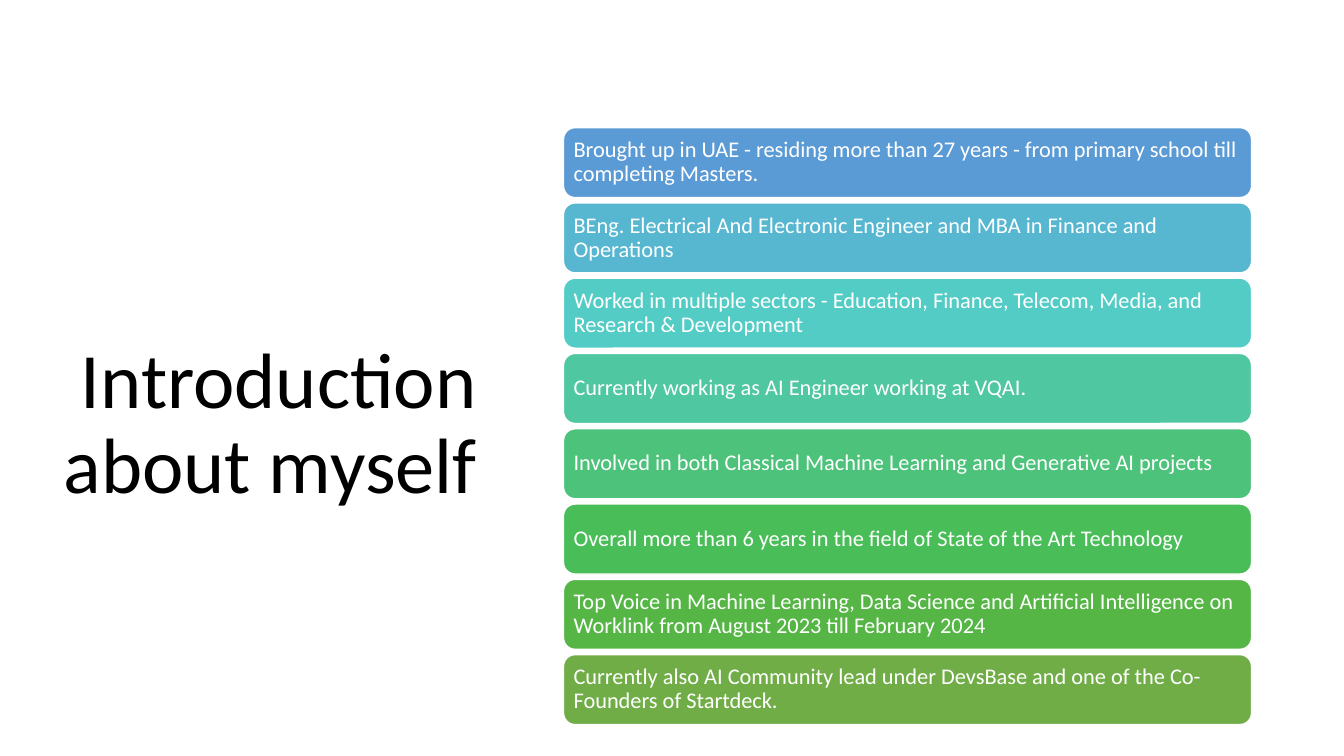
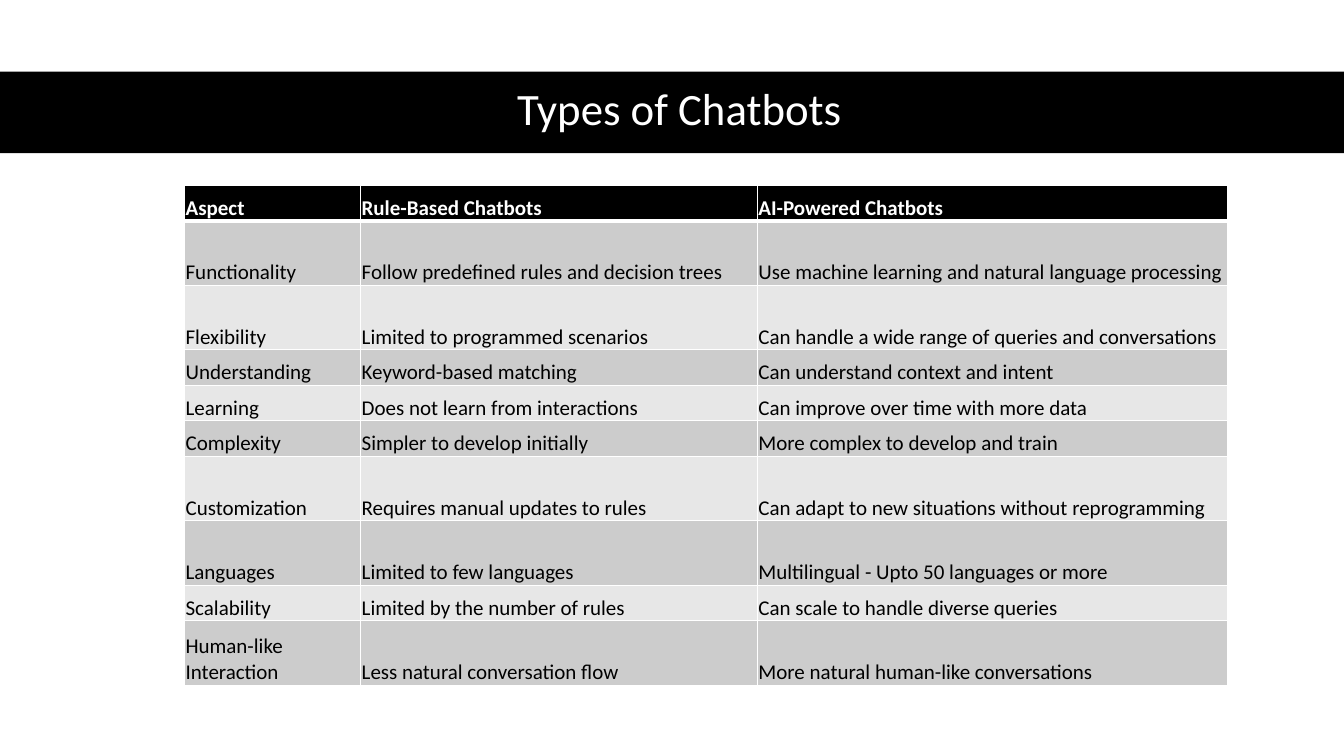
import pptx
import pptx.dml.color
import pptx.enum.shapes
import pptx.enum.text
import pptx.oxml
import pptx.oxml.ns
import pptx.util

Pt = pptx.util.Pt
RGBColor = pptx.dml.color.RGBColor
MSO_SHAPE = pptx.enum.shapes.MSO_SHAPE
ANCHOR = pptx.enum.text.MSO_ANCHOR
ALIGN = pptx.enum.text.PP_ALIGN

FONT = "Calibri"
BLACK = RGBColor(0x00, 0x00, 0x00)
WHITE = RGBColor(0xFF, 0xFF, 0xFF)
ROW_DARK = RGBColor(0xCC, 0xCC, 0xCC)
ROW_LIGHT = RGBColor(0xE7, 0xE7, 0xE7)
BLUE = RGBColor(0x5B, 0x9B, 0xD5)
SKY = RGBColor(0x57, 0xB7, 0xD1)
TURQUOISE = RGBColor(0x53, 0xCC, 0xC5)
SEA_GREEN = RGBColor(0x4F, 0xC7, 0xA0)
MINT = RGBColor(0x4C, 0xC2, 0x7B)
EMERALD = RGBColor(0x48, 0xBD, 0x58)
GRASS = RGBColor(0x55, 0xB6, 0x46)
OLIVE = RGBColor(0x70, 0xAD, 0x47)

SLIDE_WIDTH = 960


def write(frame, text, size, color, anchor, align=ALIGN.LEFT, bold=False, spacing=0.9):
    """Fill a shape's or cell's text frame with one formatted paragraph."""
    frame.text = text
    frame.word_wrap = True
    frame.vertical_anchor = anchor
    paragraph = frame.paragraphs[0]
    paragraph.alignment = align
    paragraph.line_spacing = spacing
    font = paragraph.runs[0].font
    font.name, font.size, font.bold = FONT, Pt(size), bold
    font.color.rgb = color


def add_titled_slide(title_text, box, size, color, align):
    slide = presentation.slides.add_slide(presentation.slide_layouts[5])
    title = slide.shapes.title
    title.left, title.top, title.width, title.height = [Pt(length) for length in box]
    write(title.text_frame, title_text, size, color, ANCHOR.MIDDLE, align)
    title.text_frame.auto_size = pptx.enum.text.MSO_AUTO_SIZE.NONE
    return slide


presentation = pptx.Presentation()
presentation.slide_width = Pt(SLIDE_WIDTH)
presentation.slide_height = Pt(540)

# Introduction: stacked bars beside the title
slide = add_titled_slide("Introduction about myself", (37.4, 84.2, 310.4, 440), 56, BLACK, ALIGN.RIGHT)

FACTS = [
    (BLUE, "Brought up in UAE - residing more than 27 years - from primary school till completing Masters."),
    (SKY, "BEng. Electrical And Electronic Engineer and MBA in Finance and Operations"),
    (TURQUOISE, "Worked in multiple sectors - Education, Finance, Telecom, Media, and Research & Development"),
    (SEA_GREEN, "Currently working as AI Engineer working at VQAI."),
    (MINT, "Involved in both Classical Machine Learning and Generative AI projects"),
    (EMERALD, "Overall more than 6 years in the field of State of the Art Technology"),
    (GRASS, "Top Voice in Machine Learning, Data Science and Artificial Intelligence on "
            "Worklink from August 2023 till February 2024"),
    (OLIVE, "Currently also AI Community lead under DevsBase and one of the Co-Founders of Startdeck."),
]
BAR_TOP, BAR_HEIGHT, BAR_PITCH = 91.2, 50, 53.77

for index, (color, fact) in enumerate(FACTS):
    bar = slide.shapes.add_shape(
        MSO_SHAPE.ROUNDED_RECTANGLE,
        Pt(402.5), Pt(BAR_TOP + index * BAR_PITCH), Pt(491.5), Pt(BAR_HEIGHT))
    bar.shadow.inherit = False
    bar.fill.solid()
    bar.fill.fore_color.rgb = color
    bar.line.color.rgb = WHITE
    bar.line.width = Pt(1)
    frame = bar.text_frame
    # The rounded corners already inset the text by about 2.4 pt
    frame.margin_left = frame.margin_right = Pt(4.8)
    frame.margin_top = frame.margin_bottom = Pt(4.8)
    write(frame, fact, 16, WHITE, ANCHOR.MIDDLE)

# Types of chatbots: title band and comparison table
slide = add_titled_slide("Types of Chatbots", (44, 50.4, 882.6, 58.4), 32, WHITE, ALIGN.CENTER)

band = slide.shapes.add_shape(MSO_SHAPE.RECTANGLE, 0, Pt(51.1), Pt(SLIDE_WIDTH), Pt(58.3))
band.shadow.inherit = False
band.fill.solid()
band.fill.fore_color.rgb = BLACK
band.line.fill.background()
slide.shapes.title._element.addprevious(band._element)

SHORT, TALL = 25.4, 46
COLUMN_WIDTHS = [125.8, 283.4, 335.6]
ROWS = [
    (SHORT, "Aspect", "Rule-Based Chatbots", "AI-Powered Chatbots"),
    (TALL, "Functionality", "Follow predefined rules and decision trees",
     "Use machine learning and natural language processing"),
    (TALL, "Flexibility", "Limited to programmed scenarios",
     "Can handle a wide range of queries and conversations"),
    (SHORT, "Understanding", "Keyword-based matching", "Can understand context and intent"),
    (SHORT, "Learning", "Does not learn from interactions", "Can improve over time with more data"),
    (SHORT, "Complexity", "Simpler to develop initially", "More complex to develop and train"),
    (TALL, "Customization", "Requires manual updates to rules",
     "Can adapt to new situations without reprogramming"),
    (TALL, "Languages", "Limited to few languages", "Multilingual - Upto 50 languages or more"),
    (SHORT, "Scalability", "Limited by the number of rules", "Can scale to handle diverse queries"),
    (TALL, "Human-like Interaction", "Less natural conversation flow",
     "More natural human-like conversations"),
]
table = slide.shapes.add_table(
    len(ROWS), len(COLUMN_WIDTHS), Pt(131.9), Pt(132.5),
    Pt(sum(COLUMN_WIDTHS)), Pt(sum(row[0] for row in ROWS))).table
for column, width in zip(table.columns, COLUMN_WIDTHS):
    column.width = Pt(width)

for row_index, (height, *texts) in enumerate(ROWS):
    table.rows[row_index].height = Pt(height)
    is_header = row_index == 0
    fill = BLACK if is_header else ROW_DARK if row_index % 2 else ROW_LIGHT
    border_widths = {
        "lnL": 1,
        "lnR": 1,
        "lnT": 3 if row_index == 1 else 1,
        "lnB": 3 if is_header else 1,
    }
    for column_index, text in enumerate(texts):
        cell = table.cell(row_index, column_index)
        cell.margin_left = cell.margin_right = cell.margin_top = Pt(0.7)
        cell.margin_bottom = 0
        write(cell.text_frame, text, 15, WHITE if is_header else BLACK,
              ANCHOR.BOTTOM, bold=is_header, spacing=1.0)
        cell.vertical_anchor = ANCHOR.BOTTOM
        properties = cell._tc.get_or_add_tcPr()
        for side, width in border_widths.items():
            properties.append(pptx.oxml.parse_xml(
                f'<a:{side} {pptx.oxml.ns.nsdecls("a")} w="{Pt(width)}">'
                f'<a:solidFill><a:srgbClr val="{WHITE}"/></a:solidFill></a:{side}>'))
        cell.fill.solid()
        cell.fill.fore_color.rgb = fill

presentation.save("out.pptx")
